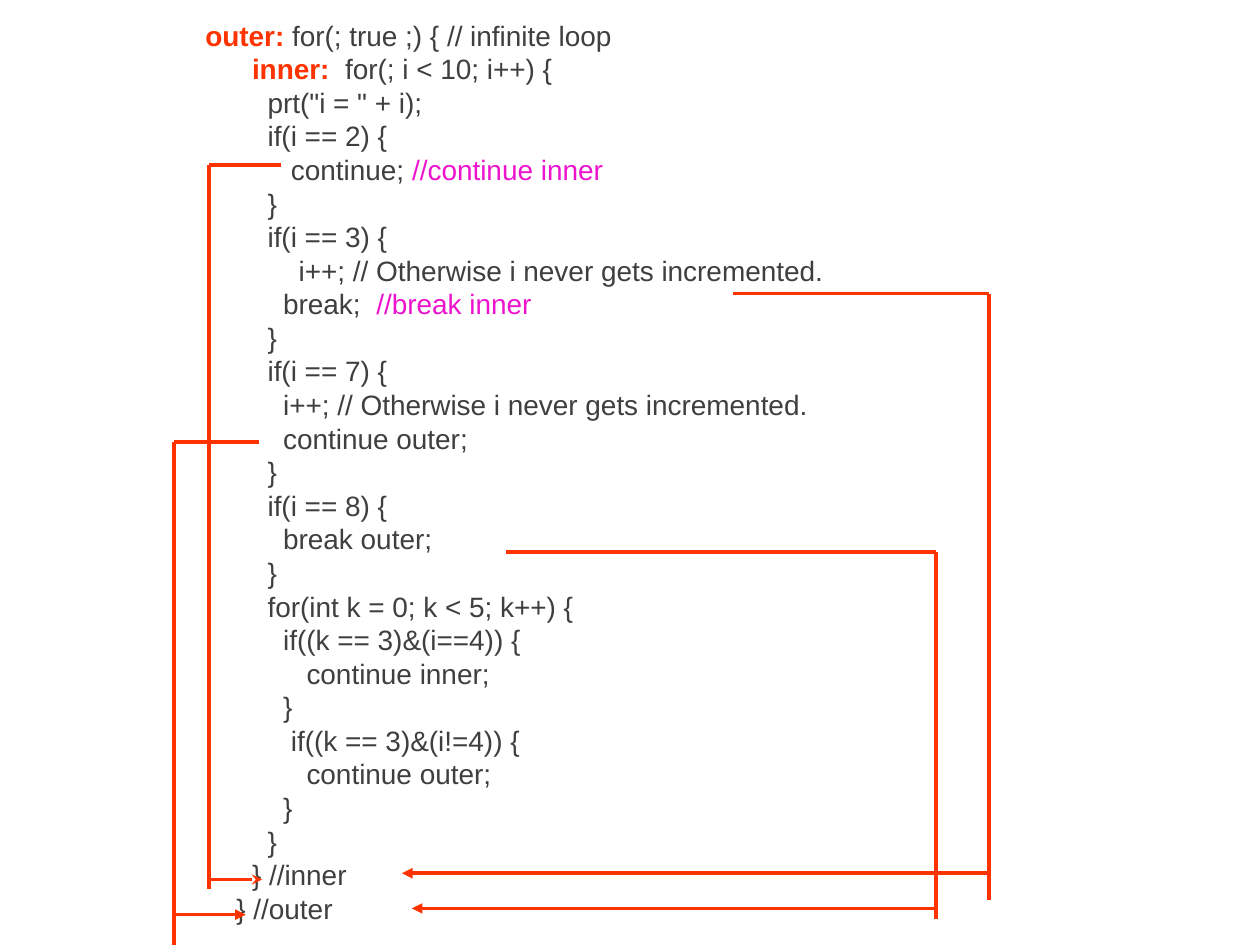
"""Build a slide showing labelled break and continue jumps in nested loops."""
from lxml.etree import SubElement
from pptx import Presentation
from pptx.dml.color import RGBColor
from pptx.enum.shapes import MSO_CONNECTOR
from pptx.enum.text import PP_ALIGN
from pptx.oxml.ns import qn
from pptx.util import Pt

CODE_GREY = RGBColor(0x3F, 0x3F, 0x3F)
LABEL_RED = RGBColor(0xFF, 0x33, 0x00)
NOTE_PINK = RGBColor(0xED, 0x13, 0xCE)
WHITE = RGBColor(0xFF, 0xFF, 0xFF)
COLUMN_WIDTH = 4.45

CODE = [
    (0, "outer:", " for(; true ;) { // infinite loop"),
    (6, "inner:", "  for(; i < 10; i++) {"),
    (8, 'prt("i = " + i);'),
    (8, "if(i == 2) {"),
    (11, "continue; ", "//continue inner"),
    (8, "}"),
    (8, "if(i == 3) {"),
    (12, "i++; // Otherwise i never gets incremented."),
    (10, "break;  ", "//break inner"),
    (8, "}"),
    (8, "if(i == 7) {"),
    (10, "i++; // Otherwise i never gets incremented."),
    (10, "continue outer;"),
    (8, "}"),
    (8, "if(i == 8) {"),
    (10, "break outer;"),
    (8, "}"),
    (8, "for(int k = 0; k < 5; k++) {"),
    (10, "if((k == 3)&(i==4)) {"),
    (13, "continue inner;"),
    (10, "}"),
    (11, "if((k == 3)&(i!=4)) {"),
    (13, "continue outer;"),
    (10, "}"),
    (8, "}"),
    (6, "} //inner"),
    (4, "} //outer"),
]

JUMPS = [
    (160.6, 119.5, 94.3, 508.3, 149.8, 502.6, "stealth"),
    (419, 565.2, 167.8, 514.1, 229.7, 499, "triangle"),
    (148.3, 99.4, 252.7, 540, 140.4, 522.7, "triangle"),
    (289.4, 535, 315.4, 524.9, 235.4, 519.1, "triangle"),
]


def add_code_line(paragraph, column, parts):
    """Write one line of code, colouring its label or trailing note."""
    paragraph.alignment = PP_ALIGN.JUSTIFY
    paragraph.line_spacing = Pt(19.2)
    paragraph.font.name = "Arial"
    paragraph.font.size = Pt(16)
    properties = paragraph._p.get_or_add_pPr()
    properties.set("marL", str(Pt(column * COLUMN_WIDTH)))
    properties.set("indent", "0")
    for part in parts:
        fragment = paragraph.add_run()
        fragment.text = part
        fragment.font.color.rgb = CODE_GREY
        if part in ("outer:", "inner:"):
            fragment.font.bold = True
            fragment.font.color.rgb = LABEL_RED
        elif part.startswith("//"):
            fragment.font.color.rgb = NOTE_PINK


def add_listing(slide):
    """Place the whole code listing."""
    listing = slide.shapes.add_textbox(Pt(110.2), Pt(5.8), Pt(620.6), Pt(540))
    listing.fill.solid()
    listing.fill.fore_color.rgb = WHITE
    frame = listing.text_frame
    frame.word_wrap = True
    frame.margin_top = Pt(4.6)
    for number, (column, *parts) in enumerate(CODE):
        paragraph = frame.add_paragraph() if number else frame.paragraphs[0]
        add_code_line(paragraph, column, parts)


def add_segment(jump, start, end, head=None):
    """Draw one straight red segment, with an arrowhead if given."""
    segment = jump.shapes.add_connector(
        MSO_CONNECTOR.STRAIGHT, *(Pt(length) for length in start + end))
    segment.line.color.rgb = LABEL_RED
    segment.line.width = Pt(2)
    if head:
        SubElement(segment.line._get_or_add_ln(), qn("a:tailEnd"), type=head)
    SubElement(segment._element.spPr, qn("a:effectLst"))


def add_jump(slide, start_x, rail_x, top, bottom, target_x, target_y, head):
    """Draw a jump: out to the rail, down it, and back to the target."""
    jump = slide.shapes.add_group_shape()
    add_segment(jump, (start_x, top), (rail_x, top))
    add_segment(jump, (rail_x, top), (rail_x, bottom))
    add_segment(jump, (rail_x, target_y), (target_x, target_y), head)


def main():
    """Build and save the slide."""
    deck = Presentation()
    deck.slide_width, deck.slide_height = Pt(720), Pt(540)
    slide = deck.slides.add_slide(deck.slide_layouts[6])
    add_listing(slide)
    for jump in JUMPS:
        add_jump(slide, *jump)
    deck.save("out.pptx")


main()
